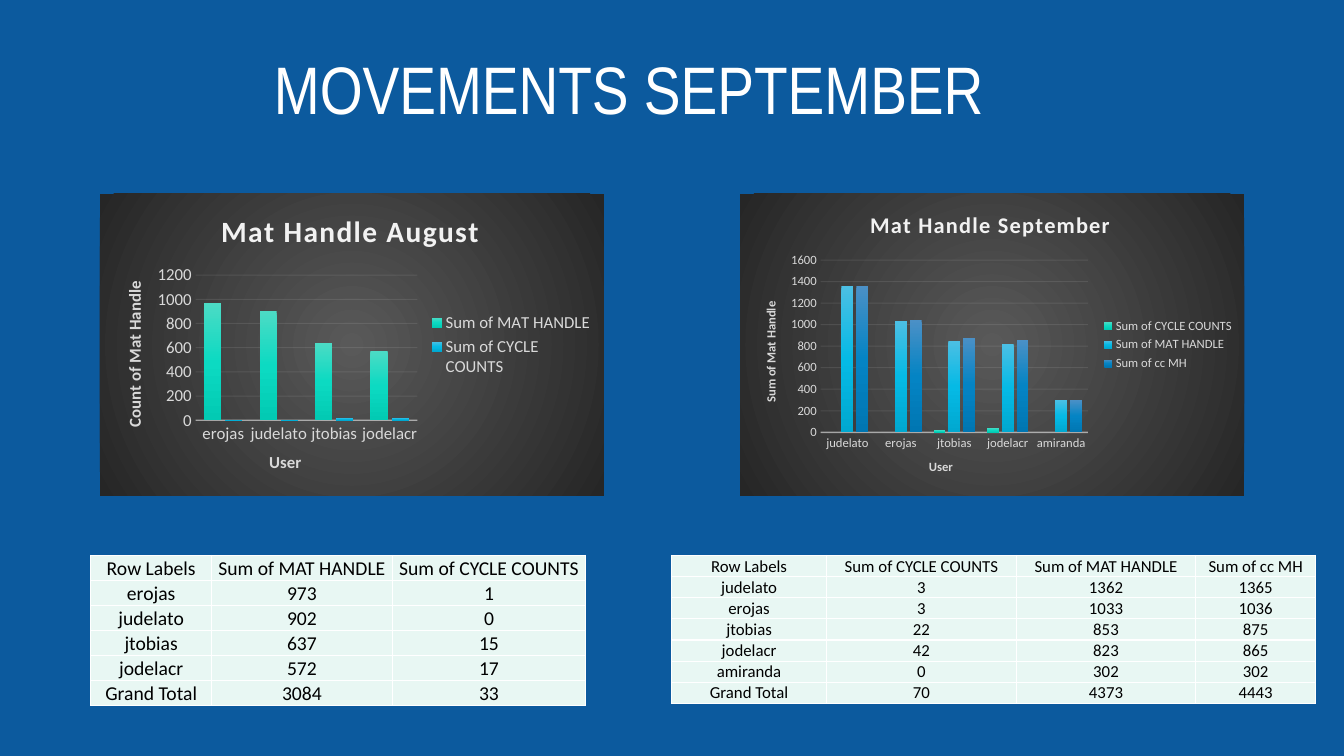
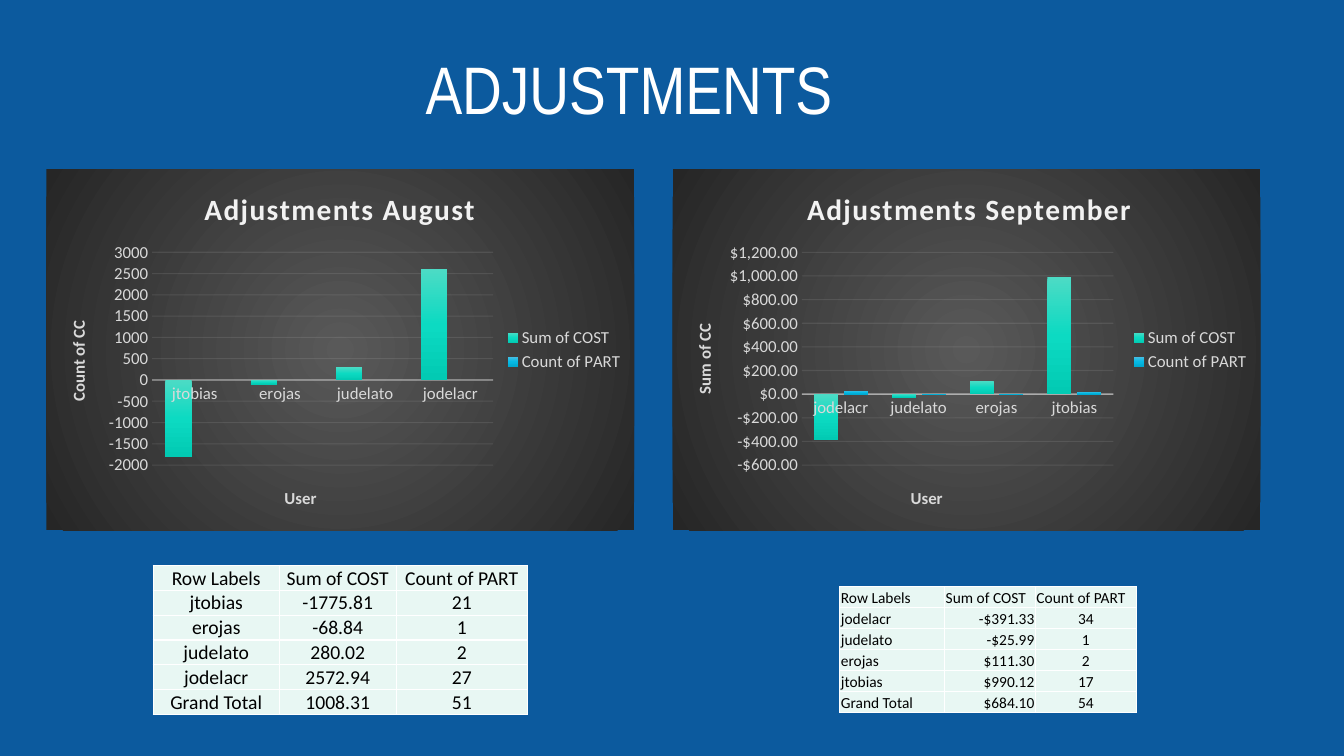
import pptx
import pptx.util
import pptx.chart.data
import pptx.dml.color
import pptx.enum.chart
import pptx.enum.text
import pptx.oxml
import pptx.oxml.ns

Inches, Pt = pptx.util.Inches, pptx.util.Pt
RGB = pptx.dml.color.RGBColor.from_string
qn, nsdecls = pptx.oxml.ns.qn, pptx.oxml.ns.nsdecls
enum = pptx.enum

# Shared look
HUES = {"back": "0C5A9E", "white": "FFFFFF", "black": "000000", "cell": "E8F7F3",
        "head": "F2F2F2", "label": "D9D9D9"}
BARS = [["4CDBC5", "0CDAC2", "02CAB3"], ["4CBFE4", "05BAE5", "00A8D0"],
        ["4B90C6", "0484C4", "0076B2"]]
PANEL = ["595959", "262626"]
ALIGN = {"l": enum.text.PP_ALIGN.LEFT, "c": enum.text.PP_ALIGN.CENTER,
         "r": enum.text.PP_ALIGN.RIGHT}

# Each block: chart box, text sizes, layout shares, value scale and rounding,
# then table box and rows
SLIDES = [
    ("MOVEMENTS SEPTEMBER", [
        {"title": "Mat Handle August", "axis": "Count of Mat Handle",
         "box": (0.99, 1.92, 5, 3), "big": 21, "small": 12,
         "spots": [(0.23, 0.04), (0.33, 0.84), (0.04, 0.28), (0.19, 0.27, 0.44, 0.48)],
         "scale": (0, 1200, 200), "format": "General", "digits": -1,
         "at": (0.9, 5.51, 1.49), "cols": (1.2, 1.79, 1.92), "size": 14, "inset": 0.01,
         "head": "ccc", "body": "ccc",
         "rows": [("Row Labels", "Sum of MAT HANDLE", "Sum of CYCLE COUNTS"),
                  ("erojas", "973", "1"), ("judelato", "902", "0"),
                  ("jtobias", "637", "15"), ("jodelacr", "572", "17"),
                  ("Grand Total", "3084", "33")]},
        {"title": "Mat Handle September", "axis": "Sum of Mat Handle",
         "box": (7.34, 1.92, 5, 3), "big": 16, "small": 9,
         "spots": [(0.25, 0.04), (0.37, 0.87), (0.04, 0.35), (0.16, 0.22, 0.53, 0.57)],
         "scale": (0, 1600, 200), "format": "General", "digits": -1,
         "at": (6.66, 5.51, 1.47), "cols": (1.54, 1.88, 1.78, 1.19), "size": 12, "inset": 0,
         "head": "cccc", "body": "cccc",
         "rows": [("Row Labels", "Sum of CYCLE COUNTS", "Sum of MAT HANDLE", "Sum of cc MH"),
                  ("judelato", "3", "1362", "1365"), ("erojas", "3", "1033", "1036"),
                  ("jtobias", "22", "853", "875"), ("jodelacr", "42", "823", "865"),
                  ("amiranda", "0", "302", "302"), ("Grand Total", "70", "4373", "4443")]},
    ]),
    ("ADJUSTMENTS", [
        {"title": "Adjustments August", "axis": "Count of CC",
         "box": (0.46, 1.68, 5.83, 3.58), "big": 21, "small": 12,
         "spots": [(0.26, 0.04), (0.4, 0.87), (0.03, 0.41), (0.18, 0.23, 0.58, 0.59)],
         "scale": (-2000, 3000, 500), "format": "General", "digits": -2,
         "at": (1.52, 5.61, 1.48), "cols": (1.25, 1.16, 1.3), "size": 14, "inset": 0.01,
         "head": "ccc", "body": "ccc",
         "rows": [("Row Labels", "Sum of COST", "Count of PART"),
                  ("jtobias", "-1775.81", "21"), ("erojas", "-68.84", "1"),
                  ("judelato", "280.02", "2"), ("jodelacr", "2572.94", "27"),
                  ("Grand Total", "1008.31", "51")]},
        {"title": "Adjustments September", "axis": "Sum of CC",
         "box": (6.67, 1.68, 5.83, 3.58), "big": 21, "small": 12,
         "spots": [(0.22, 0.04), (0.4, 0.87), (0.03, 0.42), (0.22, 0.23, 0.53, 0.59)],
         "scale": (-600, 1200, 200), "format": '"$"#,##0.00', "digits": -1,
         "at": (8.33, 5.82, 1.25), "cols": (1.04, 0.9, 1), "size": 11, "inset": 0.01,
         "head": "lll", "body": "lrc",
         "rows": [("Row Labels", "Sum of COST", "Count of PART"),
                  ("jodelacr", "-$391.33", "34"), ("judelato", "-$25.99", "1"),
                  ("erojas", "$111.30", "2"), ("jtobias", "$990.12", "17"),
                  ("Grand Total", "$684.10", "54")]},
    ]),
]


def put(thing, **values):
    """Set attributes; a hue goes to the colour of a font or line."""
    for name, value in values.items():
        if name == "hue":
            thing.color.rgb = RGB(HUES[value])
        else:
            setattr(thing, name, value)


def blend(hues, shade):
    """Make a gradient fill with evenly spaced stops."""
    step = 100000 // (len(hues) - 1)
    stops = "".join(f'<a:gs pos="{i * step}"><a:srgbClr val="{hue}"/></a:gs>'
                    for i, hue in enumerate(hues))
    return pptx.oxml.parse_xml(f'<a:gradFill {nsdecls("a")} rotWithShape="1">'
                               f'<a:gsLst>{stops}</a:gsLst>{shade}</a:gradFill>')


DOWN = '<a:lin ang="5400000" scaled="0"/>'
ROUND = '<a:path path="circle"><a:fillToRect l="50000" t="50000" r="50000" b="50000"/></a:path>'

deck = pptx.Presentation()
put(deck, slide_width=Inches(13.33), slide_height=Inches(7.5))
back = deck.slide_master.background.fill
back.solid()
back.fore_color.rgb = RGB(HUES["back"])

for name, blocks in SLIDES:
    slide = deck.slides.add_slide(deck.slide_layouts[6])

    # Slide title
    box = slide.shapes.add_textbox(*map(Inches, (2.32, 0.36, 7.84, 0.97)))
    put(box.text_frame, word_wrap=True, margin_left=0, margin_right=0, text=name,
        vertical_anchor=enum.text.MSO_ANCHOR.BOTTOM)
    para = box.text_frame.paragraphs[0]
    put(para, alignment=ALIGN["c"], line_spacing=0.9)
    put(para.runs[0].font, name="Arial Narrow", size=Pt(48), hue="white")

    for block in blocks:
        rows, small = block["rows"], Pt(block["small"])

        # Chart of the table's rows, rounded and without the total
        data = pptx.chart.data.CategoryChartData()
        data.categories = [row[0] for row in rows[1:-1]]
        for col, label in enumerate(rows[0][1:], 1):
            data.add_series(label, [int(round(float(row[col].replace("$", "")), block["digits"]))
                                    for row in rows[1:-1]])
        chart = slide.shapes.add_chart(enum.chart.XL_CHART_TYPE.COLUMN_CLUSTERED,
                                       *map(Inches, block["box"]), data).chart
        put(chart.font, name="Calibri", size=small, hue="label")
        put(chart, has_legend=True, has_title=True)
        put(chart.legend, position=enum.chart.XL_LEGEND_POSITION.RIGHT, include_in_layout=False)
        put(chart.legend.font, name="Calibri", size=small, hue="label")

        # Panel behind the chart
        panel = pptx.oxml.parse_xml(f'<c:spPr {nsdecls("c", "a")}><a:ln><a:noFill/></a:ln></c:spPr>')
        panel.insert(0, blend(PANEL, ROUND))
        chart.element.find(qn("c:chart")).addnext(panel)

        # Bars
        plot = chart.plots[0]
        put(plot, gap_width=100, overlap=-24, vary_by_categories=False)
        for bar, hues in zip(plot.series, BARS):
            bar.invert_if_negative = False
            bar._element.get_or_add_spPr().append(blend(hues, DOWN))

        # Axes
        users, sums = chart.category_axis, chart.value_axis
        low, high, step = block["scale"]
        put(sums, minimum_scale=low, maximum_scale=high, major_unit=step,
            has_major_gridlines=True)
        put(sums.tick_labels, number_format=block["format"], number_format_is_linked=False)
        for axis in (users, sums):
            put(axis, has_title=True, major_tick_mark=enum.chart.XL_TICK_MARK.NONE,
                minor_tick_mark=enum.chart.XL_TICK_MARK.NONE)
            put(axis.tick_labels.font, name="Calibri", size=small, hue="label")
        put(users.format.line, hue="head", width=Pt(1))
        put(sums.major_gridlines.format.line, hue="head", width=Pt(0.75))
        sums.format.line.fill.background()
        for where, alpha in ((".//c:catAx/c:spPr", 54000), (".//c:majorGridlines", 10000)):
            for hue in chart.element.xpath(where + "//a:srgbClr"):
                hue.append(pptx.oxml.parse_xml(f'<a:alpha {nsdecls("a")} val="{alpha}"/>'))

        # Chart and axis titles
        heads = [chart.chart_title, users.axis_title, sums.axis_title]
        texts = [block["title"], "User", block["axis"]]
        sizes = [Pt(block["big"]), small, small]
        for head, text, size, hue in zip(heads, texts, sizes, ("head", "label", "label")):
            head.text_frame.text = text
            run = head.text_frame.paragraphs[0].runs[0]
            put(run.font, name="Calibri", size=size, bold=True, hue=hue)
        heads[0].text_frame.paragraphs[0].runs[0]._r.get_or_add_rPr().set("spc", "100")
        heads[2].text_frame._txBody.find(qn("a:bodyPr")).set("rot", "-5400000")

        # Places of the titles and the plot, as shares of the chart
        parts = [head._element for head in heads] + chart.element.xpath(".//c:plotArea")
        for part, spot in zip(parts, block["spots"]):
            for old in part.findall(qn("c:layout")):
                part.remove(old)
            inner = '<c:layoutTarget val="inner"/>' if len(spot) == 4 else ""
            modes = '<c:xMode val="edge"/><c:yMode val="edge"/>'
            shares = "".join(f'<c:{key} val="{val}"/>' for key, val in zip("xywh", spot))
            part.insert(0 if inner else 1, pptx.oxml.parse_xml(
                f'<c:layout {nsdecls("c")}><c:manualLayout>{inner}{modes}{shares}'
                '</c:manualLayout></c:layout>'))

        # Table
        left, top, tall = block["at"]
        table = slide.shapes.add_table(len(rows), len(rows[0]), Inches(left), Inches(top),
                                       Inches(sum(block["cols"])), Inches(tall)).table
        put(table, first_row=False, horz_banding=False)
        for col, wide in zip(table.columns, block["cols"]):
            col.width = Inches(wide)
        inset = Inches(block["inset"])
        for r, row in enumerate(rows):
            for c, text in enumerate(row):
                cell = table.cell(r, c)
                put(cell, text=text, margin_left=inset, margin_right=inset, margin_top=inset,
                    margin_bottom=0, vertical_anchor=enum.text.MSO_ANCHOR.BOTTOM)
                para = cell.text_frame.paragraphs[0]
                para.alignment = ALIGN[block["body" if r else "head"][c]]
                put(para.runs[0].font, name="Calibri", size=Pt(block["size"]), hue="black")
                for side in "LRTB":
                    cell._tc.get_or_add_tcPr().append(pptx.oxml.parse_xml(
                        f'<a:ln{side} {nsdecls("a")} w="12700"><a:solidFill>'
                        f'<a:srgbClr val="{HUES["white"]}"/></a:solidFill></a:ln{side}>'))
                cell.fill.solid()
                cell.fill.fore_color.rgb = RGB(HUES["cell"])

deck.save("out.pptx")
